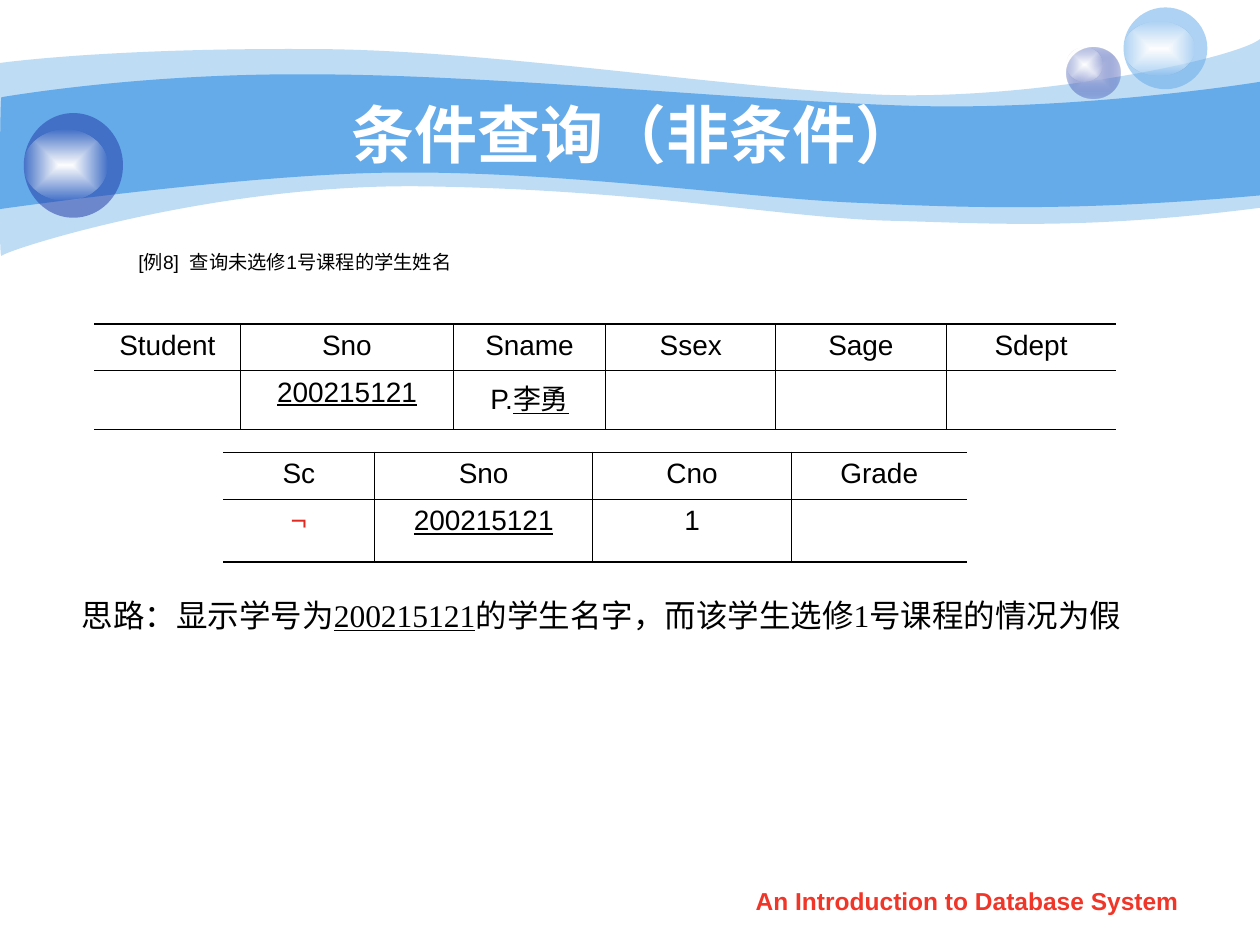
from dataclasses import dataclass

from pptx import Presentation
from pptx.dml.color import RGBColor
from pptx.enum.shapes import MSO_SHAPE as Preset
from pptx.enum.text import MSO_ANCHOR as Anchor, PP_ALIGN as Align
from pptx.oxml import parse_xml
from pptx.oxml.ns import qn
from pptx.util import Cm, Pt

COLORS = {"sky": "65AAE9", "navy": "233DA9", "lilac": "C6CCE8", "white": "FFFFFF",
          "glow": "FEFEFE", "black": "000000", "red": "E02920", "footer": "F03628"}
NAMESPACE = 'xmlns:a="http://schemas.openxmlformats.org/drawingml/2006/main"'
THICK, THIN = 1.08, 0.45


@dataclass
class Wave:
    start: tuple
    upper: list   # cubic curves: two control points and an end point
    corner: tuple
    lower: list
    opacity: int


@dataclass
class Ball:
    box: tuple
    shine: tuple
    stops: list   # (colour, opacity) from centre to rim


@dataclass
class Span:
    text: str
    underline: bool = False
    color: str = "black"


@dataclass
class Grid:
    left: float
    top: float
    widths: list
    heights: list
    rows: list


@dataclass
class TextBlock:
    box: tuple
    spans: list
    font: dict
    para: dict
    frame: dict
    indent: tuple = ()


def rgb(name: str) -> RGBColor:
    return RGBColor.from_string(COLORS[name])


def color_xml(name: str, opacity: int = 100) -> str:
    alpha = f'<a:alpha val="{opacity * 1000}"/>' if opacity < 100 else ""
    return f'<a:srgbClr val="{COLORS[name]}">{alpha}</a:srgbClr>'


def set_fill(shape, stops: list) -> None:
    """One stop gives a plain fill, more give a gradient from the centre."""
    shape.shadow.inherit = False
    shape.line.fill.background()
    shape.fill.background()
    if len(stops) == 1:
        fill = f'<a:solidFill {NAMESPACE}>{color_xml(*stops[0])}</a:solidFill>'
    else:
        marks = "".join(f'<a:gs pos="{index * 100000}">{color_xml(*stop)}</a:gs>'
                        for index, stop in enumerate(stops))
        fill = (f'<a:gradFill {NAMESPACE} rotWithShape="1"><a:gsLst>{marks}</a:gsLst>'
                '<a:path path="rect"><a:fillToRect l="50000" t="50000" r="50000" b="50000"/>'
                '</a:path></a:gradFill>')
    properties = shape._element.spPr
    properties.replace(properties.find(qn("a:noFill")), parse_xml(fill))


def bend(outline, segments: list) -> None:
    """Turn three straight segments into one cubic curve."""
    curve = parse_xml(f"<a:cubicBezTo {NAMESPACE}/>")
    segments[0].addprevious(curve)
    for segment in segments:
        curve.append(segment[0])
        outline.remove(segment)


def draw_wave(page, wave: Wave) -> None:
    points = [*sum(wave.upper, ()), wave.corner, *sum(wave.lower, ())]
    builder = page.shapes.build_freeform(*map(Cm, wave.start))
    builder.add_line_segments([tuple(map(Cm, point)) for point in points], close=True)
    shape = builder.convert_to_shape()
    outline = next(shape._element.iter(qn("a:path")))
    segments = outline.findall(qn("a:lnTo"))
    corner = 3 * len(wave.upper)
    del segments[corner]
    for first in range(0, 3 * (len(wave.upper) + len(wave.lower)), 3):
        bend(outline, segments[first:first + 3])
    set_fill(shape, [("sky", wave.opacity)])


def draw_ball(page, ball: Ball) -> None:
    for box, stops in ((ball.box, ball.stops), (ball.shine, [("white", 100), ("glow", 0)])):
        set_fill(page.shapes.add_shape(Preset.OVAL, *map(Cm, box)), stops)


def apply(target, values: dict) -> None:
    for name, value in values.items():
        setattr(target, name, value)


def write_spans(para, spans: list, font: dict) -> None:
    for span in spans:
        run = para.add_run()
        run.text = span.text
        apply(run.font, font)
        run.font.color.rgb = rgb(span.color)
        if span.underline:
            run.font.underline = True


def draw_text(page, block: TextBlock) -> None:
    frame = page.shapes.add_textbox(*map(Cm, block.box)).text_frame
    apply(frame, block.frame)
    para = frame.paragraphs[0]
    apply(para, block.para)
    if block.indent:
        properties = para._p.get_or_add_pPr()
        for name, value in zip(("marL", "indent"), block.indent):
            properties.set(name, str(int(Cm(value))))
    write_spans(para, block.spans, block.font)


def set_borders(cell, widths: dict) -> None:
    properties = cell._tc.get_or_add_tcPr()
    for side, width in widths.items():
        fill = f"<a:solidFill>{color_xml('black')}</a:solidFill>" if width else "<a:noFill/>"
        properties.append(parse_xml(
            f'<a:ln{side} {NAMESPACE} w="{int(Pt(width))}">{fill}</a:ln{side}>'))


def draw_grid(page, grid: Grid) -> None:
    last_row, last_column = len(grid.heights) - 1, len(grid.widths) - 1
    table = page.shapes.add_table(
        last_row + 1, last_column + 1, Cm(grid.left), Cm(grid.top),
        Cm(sum(grid.widths)), Cm(sum(grid.heights))).table
    apply(table, {"first_row": False, "horz_banding": False})
    for column, width in zip(table.columns, grid.widths):
        column.width = Cm(width)
    for r, (height, row) in enumerate(zip(grid.heights, grid.rows)):
        table.rows[r].height = Cm(height)
        for c, spans in enumerate(row):
            cell = table.cell(r, c)
            set_borders(cell, {"L": THIN if c else 0, "R": THIN if c < last_column else 0,
                               "T": THIN if r else THICK, "B": THIN if r < last_row else THICK})
            cell.fill.background()
            para = cell.text_frame.paragraphs[0]
            para.alignment = Align.CENTER
            write_spans(para, spans, {"name": "Arial", "size": Pt(16)})


def header(*names: str) -> list:
    return [[Span(name)] for name in names]


STUDENT_NUMBER = Span("200215121", underline=True)

WAVES = [
    Wave((0, 1.27),
         [((0.61, 1.19), (2.72, 0.97), (6.27, 0.99)), ((9.8, 0.99), (14.61, 1.78), (17.75, 1.91)),
          ((20.88, 2.03), (24.89, 1.19), (25.4, 0.79))],
         (25.4, 4.19),
         [((21.79, 4.65), (19.99, 4.5), (17.91, 4.45)), ((15.8, 4.39), (13.08, 3.84), (8.71, 3.76)),
          ((4.37, 3.66), (0.1, 5.05), (0.03, 5.16)), ((-0.03, 5.28), (0, 1.9), (0, 1.27))], 41),
    Wave((0.03, 1.96),
         [((0.05, 1.96), (2.79, 1.47), (6.3, 1.5)), ((9.8, 1.5), (15.11, 2.03), (18.24, 2.13)),
          ((21.36, 2.24), (24.79, 1.75), (25.4, 1.65))],
         (25.4, 3.94),
         [((21.67, 4.27), (19.43, 4.19), (17.32, 4.09)), ((15.21, 4.01), (11.35, 3.45), (8.05, 3.48)),
          ((5.16, 3.48), (-0.05, 4.22), (-0.03, 4.22)), ((0, 4.22), (0, 1.96), (0.03, 1.96))], 100),
]

BALLS = [
    Ball((21.5, 0.95, 1.08, 1.03), (21.5, 0.95, 0.72, 0.69), [("lilac", 100), ("navy", 31)]),
    Ball((22.65, 0.15, 1.69, 1.65), (22.65, 0.43, 1.42, 1.09), [("sky", 53)]),
    Ball((0.48, 2.28, 2, 2.11), (0.48, 2.62, 1.68, 1.42), [("navy", 53)]),
]

STUDENT_GRID = Grid(
    1.9, 6.53, [2.95, 4.29, 3.07, 3.43, 3.43, 3.43], [0.94, 1.19],
    [header("Student", "Sno", "Sname", "Ssex", "Sage", "Sdept"),
     [[], [STUDENT_NUMBER], [Span("P."), Span("李勇", underline=True)], [], [], []]])
COURSE_GRID = Grid(
    4.5, 9.12, [3.05, 4.4, 4, 3.55], [0.94, 1.27],
    [header("Sc", "Sno", "Cno", "Grade"),
     [[Span("¬", color="red")], [STUDENT_NUMBER], [Span("1")], []]])

TITLE = TextBlock(
    (2.54, 1.9, 20.52, 1.57), [Span("条件查询（非条件）", color="white")],
    {"name": "Arial", "size": Pt(36), "bold": True}, {"alignment": Align.CENTER},
    {"word_wrap": True, "vertical_anchor": Anchor.MIDDLE})
EXAMPLE = TextBlock(
    (1.27, 5.08, 22.63, 2.64), [Span("[例8]  查询未选修1号课程的学生姓名")],
    {"name": "Arial", "size": Pt(11)}, {"alignment": Align.JUSTIFY, "line_spacing": 0.6},
    {"word_wrap": True}, (2.06, -0.79))
IDEA = TextBlock(
    (1.4, 11.73, 22.07, 1.17),
    [Span("思路：显示学号为"), STUDENT_NUMBER, Span("的学生名字，而该学生选修1号课程的情况为假")],
    {"name": "Times New Roman", "size": Pt(18)}, {"line_spacing": 1.2}, {"word_wrap": False})
FOOTER = TextBlock(
    (14.5, 17.73, 10, 0.89), [Span("An Introduction to Database System", color="footer")],
    {"name": "Arial", "size": Pt(14), "bold": True}, {"alignment": Align.CENTER},
    {"word_wrap": True})


def main() -> None:
    deck = Presentation()
    apply(deck, {"slide_width": Cm(25.4), "slide_height": Cm(19.05)})
    page = deck.slides.add_slide(deck.slide_layouts[6])
    # Banner, then text and tables from back to front
    for draw, parts in ((draw_wave, WAVES), (draw_ball, BALLS),
                        (draw_text, [TITLE, EXAMPLE]), (draw_grid, [STUDENT_GRID]),
                        (draw_text, [IDEA]), (draw_grid, [COURSE_GRID]), (draw_text, [FOOTER])):
        for part in parts:
            draw(page, part)
    deck.save("out.pptx")


if __name__ == "__main__":
    main()
